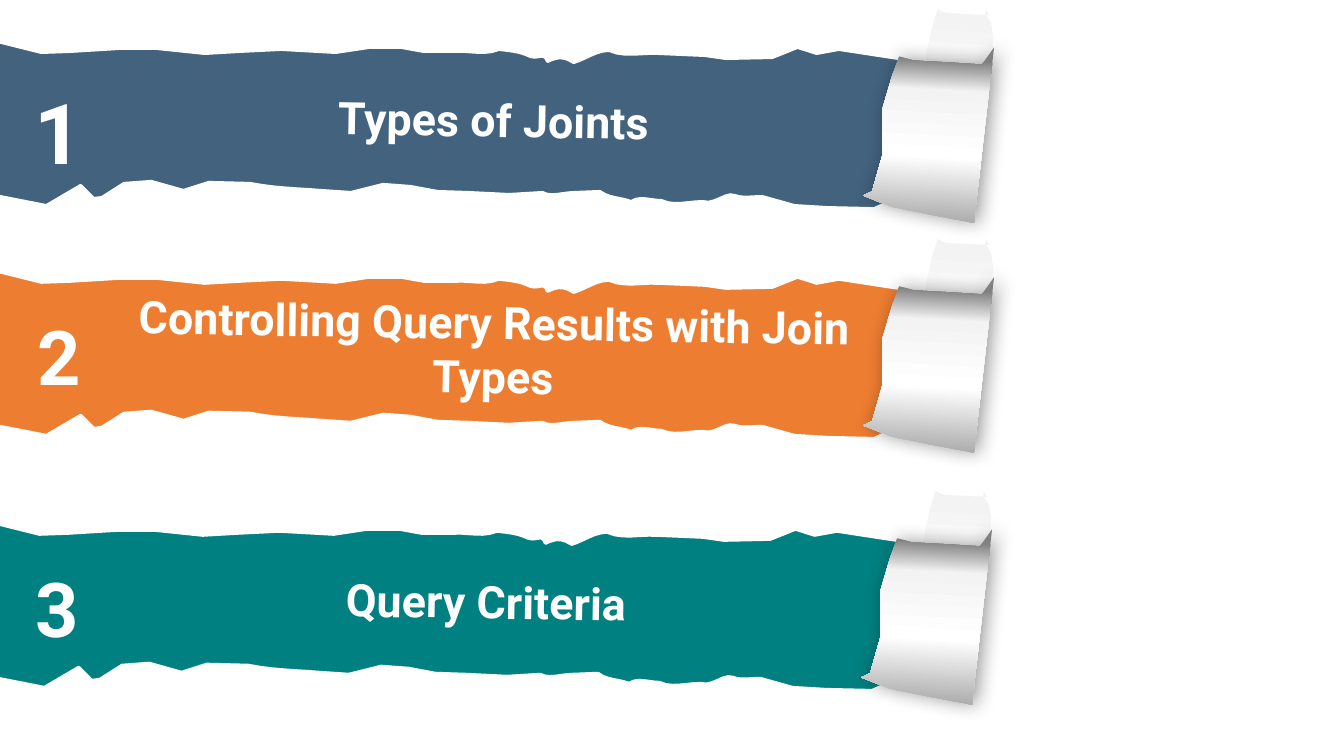
from lxml import etree
from pptx import Presentation, util as u
from pptx.dml.color import RGBColor
from pptx.enum import text
from pptx.oxml import ns

COLUMNS, ROWS = 1333, 750
CELL = u.Inches(0.01)
FONT = "Roboto"
WHITE = RGBColor(0xFF, 0xFF, 0xFF)
BLACK = RGBColor(0x00, 0x00, 0x00)
BLUE = RGBColor(0x43, 0x62, 0x7E)
ORANGE = RGBColor(0xED, 0x7D, 0x31)
TEAL = RGBColor(0x00, 0x80, 0x80)
LIGHT_GREY = RGBColor(0xF3, 0xF3, 0xF3)
MIDDLE_GREY = RGBColor(0xA6, 0xA6, 0xA6)
DARK_GREY = RGBColor(0x80, 0x80, 0x80)

FLAP_STOPS = [(8, LIGHT_GREY), (62, WHITE), (100, MIDDLE_GREY)]
ROLL_STOPS = [(8, DARK_GREY), (25, LIGHT_GREY), (62, WHITE), (100, MIDDLE_GREY)]

# Pairs are corners; sixes are curves with two control points and an end.
STRIP = [
    (-5, 194), (46, 204), (80, 184), (93, 197), (101, 196), (123, 182),
    (150, 180), (182, 189), (207, 181), (248, 182),
    (273, 187, 295, 187, 318, 189), (348, 191), (380, 183), (407, 185),
    (434, 190), (464, 191), (505, 193), (538, 191),
    (546, 196, 559, 191, 570, 191), (595, 190),
    (604, 197, 616, 196, 626, 200), (634, 194, 646, 199, 656, 199),
    (668, 205, 683, 200, 697, 200), (708, 204, 720, 190, 729, 194),
    (736, 197, 747, 195, 756, 195), (788, 204), (821, 206), (867, 207),
    (878, 202), (884, 189), (895, 133), (894, 98), (901, 66), (904, 60),
    (832, 49), (810, 53), (791, 47), (766, 57), (720, 58), (699, 55),
    (653, 53), (637, 52, 619, 57, 604, 50), (591, 50, 580, 59, 569, 62),
    (557, 54, 550, 58, 543, 61), (540, 51, 534, 59, 526, 56),
    (517, 52, 513, 51, 495, 49), (480, 55, 467, 50, 452, 51), (420, 51),
    (398, 47), (366, 47), (333, 52), (279, 49), (238, 51), (203, 53),
    (155, 48), (119, 48), (70, 51), (41, 52), (1, 42), (-18, 43),
    (-10, 84), (-17, 162),
]
FLAP = [
    (906, 122), (923, 131), (948, 137), (974, 144),
    (978, 108, 984, 59, 985, 37), (985, 14, 974, 19, 978, 10), (981, 15),
    (961, 14), (938, 13), (930, 9), (925, 25), (919, 53), (918, 90),
    (912, 119),
]
ROLL = [
    (856, 194), (884, 205), (923, 213), (966, 221), (981, 90), (986, 47),
    (974, 64), (943, 62), (906, 60), (892, 56), (885, 75), (875, 109),
    (875, 155), (865, 190),
]


def flatten(outline, steps=6):
    """Return the corners of an outline, its curves cut into short lines."""
    points = []
    for entry in outline:
        if len(entry) == 2:
            points.append(entry)
            continue
        start, first, second, end = points[-1], entry[:2], entry[2:4], entry[4:]
        for step in range(1, steps + 1):
            t = step / steps
            weights = ((1 - t) ** 3, 3 * t * (1 - t) ** 2, 3 * t * t * (1 - t), t ** 3)
            points.append(tuple(
                sum(w * p[axis] for w, p in zip(weights, (start, first, second, end)))
                for axis in (0, 1)))
    return points


def add_outline(shapes, origin, outline):
    """Draw a closed outline placed from the given column and row."""
    points = [((origin[0] + x) * CELL, (origin[1] + y) * CELL)
              for x, y in flatten(outline)]
    builder = shapes.build_freeform(*points[0], scale=1.0)
    builder.add_line_segments(points[1:], close=True)
    shape = builder.convert_to_shape()
    shape.shadow.inherit = False
    return shape


def set_gradient(shape, stops):
    """Fill a shape from top to bottom, tilted like the paper, without a line."""
    shape.line.fill.background()
    shape.fill.gradient()
    shape.fill.gradient_angle = 267
    stop_list = shape._element.spPr.find(".//" + ns.qn("a:gsLst"))
    for stop in list(stop_list):
        stop_list.remove(stop)
    for share, color in stops:
        stop = etree.SubElement(stop_list, ns.qn("a:gs"), pos=str(share * 1000))
        etree.SubElement(stop, ns.qn("a:srgbClr"), val=str(color))


def add_soft_shadow(shape):
    """Give a shape a blurred shadow to its right."""
    effects = shape._element.spPr.find(ns.qn("a:effectLst"))
    shadow = etree.SubElement(
        effects, ns.qn("a:outerShdw"), blurRad=str(u.Pt(14)), dist=str(u.Pt(3)),
        dir="0", algn="ctr", rotWithShape="0")
    color = etree.SubElement(shadow, ns.qn("a:srgbClr"), val=str(BLACK))
    etree.SubElement(color, ns.qn("a:alpha"), val="40000")


def add_curl(slide, origin):
    """Draw the torn paper rolled up at the right end of a strip."""
    group = slide.shapes.add_group_shape()
    set_gradient(add_outline(group.shapes, origin, FLAP), FLAP_STOPS)
    roll = add_outline(group.shapes, origin, ROLL)
    set_gradient(roll, ROLL_STOPS)
    add_soft_shadow(roll)


def add_label(slide, box, words, size, rotation=0):
    """Write bold white centred words in a box of columns and rows."""
    shape = slide.shapes.add_textbox(*(length * CELL for length in box))
    shape.rotation = rotation
    frame = shape.text_frame
    frame.word_wrap = True
    frame.auto_size = text.MSO_AUTO_SIZE.SHAPE_TO_FIT_TEXT
    paragraph = frame.paragraphs[0]
    paragraph.alignment = text.PP_ALIGN.CENTER
    run = paragraph.add_run()
    run.text = words
    run.font.name = FONT
    run.font.size = u.Pt(size)
    run.font.bold = True
    run.font.color.rgb = WHITE


def add_banner(slide, origin, color, number, number_size, number_rows, caption, lines):
    """Draw one torn strip with its curl, number and caption."""
    left, top = origin
    strip = add_outline(slide.shapes, origin, STRIP)
    strip.fill.solid()
    strip.fill.fore_color.rgb = color
    strip.line.color.rgb = WHITE
    strip.line.width = u.Pt(2.25)
    add_curl(slide, origin)
    add_label(slide, (left + 23, top + 75, 71, number_rows), number, number_size)
    caption_rows = 10 + 54 * lines
    caption_box = (left + 124, top + 119 - caption_rows // 2, 731, caption_rows)
    add_label(slide, caption_box, caption, 32, rotation=1)


def main():
    """Build the slide and save it."""
    presentation = Presentation()
    presentation.slide_width = COLUMNS * CELL
    presentation.slide_height = ROWS * CELL
    slide = presentation.slides.add_slide(presentation.slide_layouts[6])
    banners = [
        ((0, 0), BLUE, "1", 60, 111, "Types of Joints", 1),
        ((0, 228), ORANGE, "2", 54, 71, "Controlling Query Results with Join Types", 2),
        ((-2, 478), TEAL, "3", 54, 101, "Query Criteria ", 1),
    ]
    for banner in banners:
        add_banner(slide, *banner)
    presentation.save("out.pptx")


if __name__ == "__main__":
    main()
